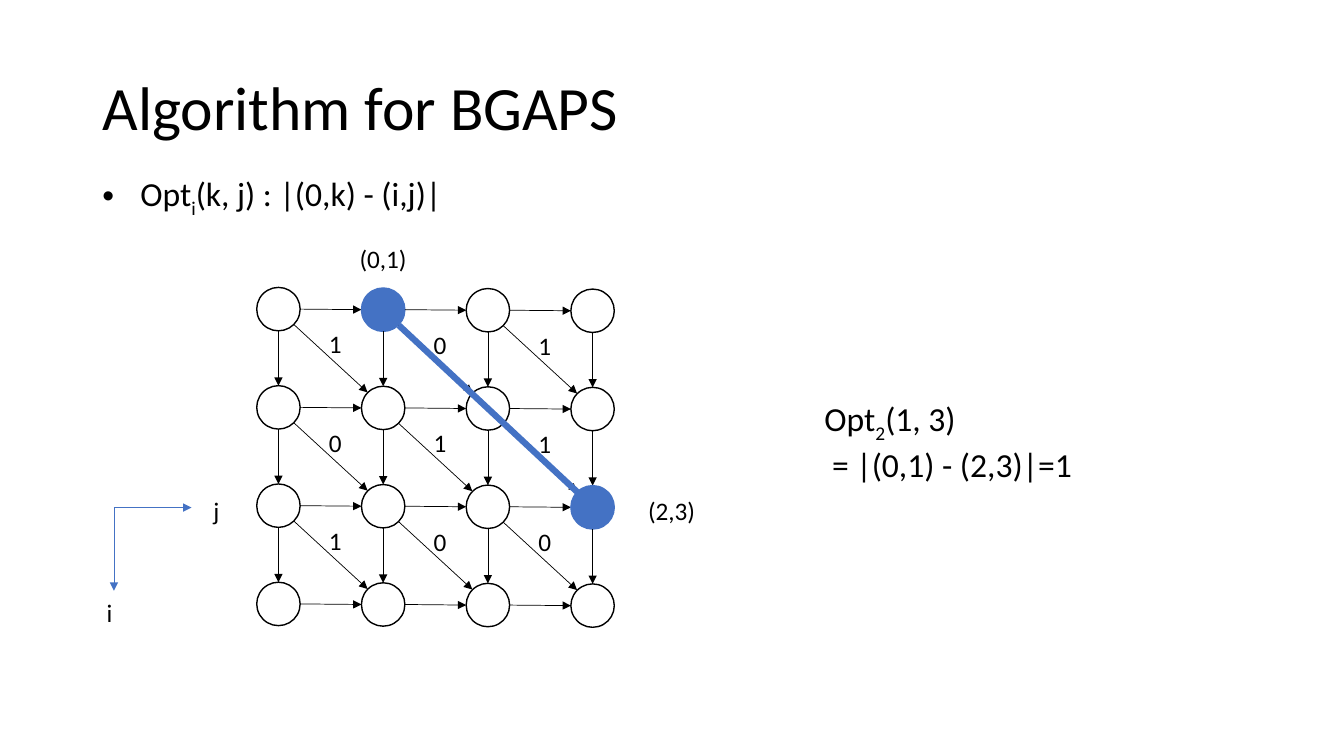
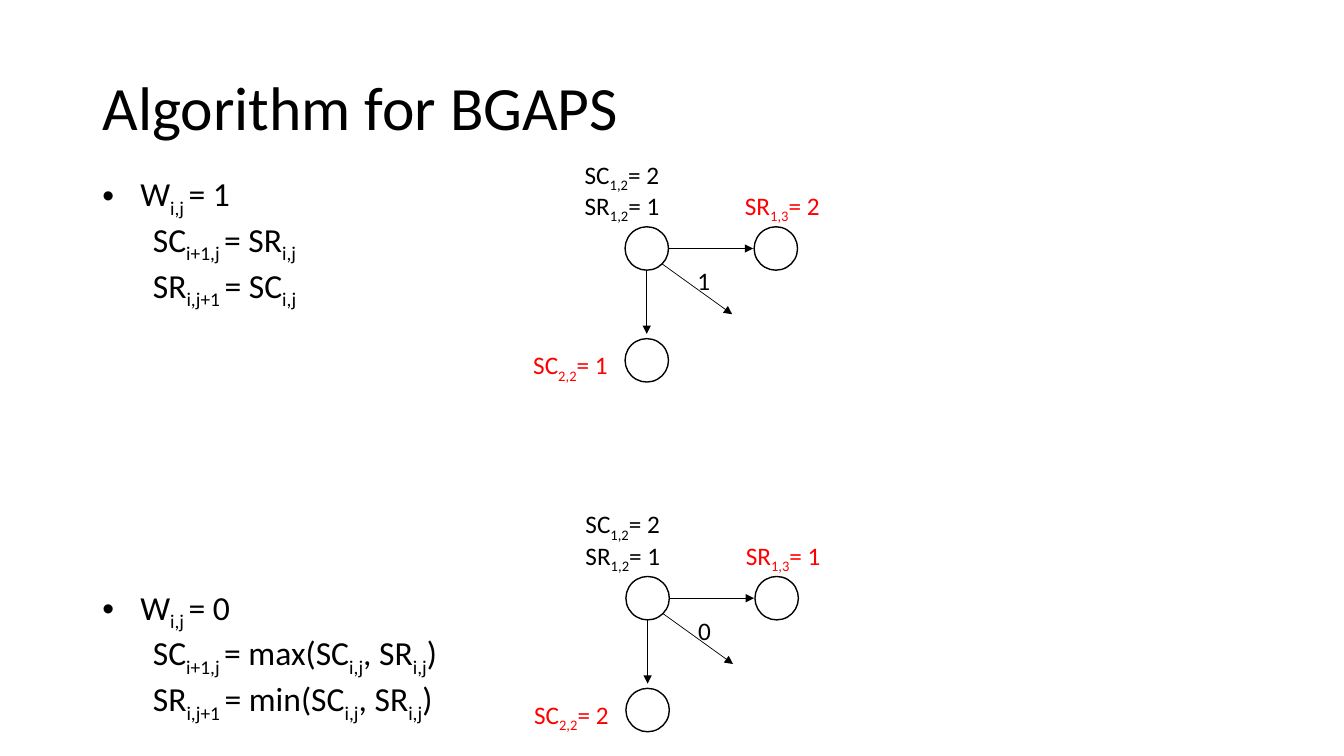
"""Builds two slides that explain the algorithm for BGAPS on a grid graph."""
from dataclasses import dataclass
from itertools import product
from typing import Optional

from lxml import etree
from pptx import Presentation
from pptx.dml.color import RGBColor
from pptx.enum.shapes import MSO_CONNECTOR, MSO_SHAPE
from pptx.enum.text import MSO_ANCHOR, MSO_AUTO_SIZE, PP_ALIGN
from pptx.oxml.ns import qn
from pptx.slide import Slide
from pptx.text.text import TextFrame
from pptx.util import Pt

OVAL = MSO_SHAPE.OVAL
STRAIGHT = MSO_CONNECTOR.STRAIGHT
LEFT = PP_ALIGN.LEFT
TOP, MIDDLE = MSO_ANCHOR.TOP, MSO_ANCHOR.MIDDLE
NO_FIT = MSO_AUTO_SIZE.NONE

BLACK, WHITE, BLUE, RED = "000000", "FFFFFF", "4472C4", "FF0000"
FONT = "Calibri"
TITLE = "Algorithm for BGAPS"
RADIUS = 15.5
DIAGONAL = 11.1

GRID_LEFT, GRID_TOP = 198.9, 220.8
COLUMN_STEP, ROW_STEP, ROW_SLOPE = 74.8, 70.2, 0.4
GRID_SIZE = 4
WEIGHTS = ("101", "011", "100")
PATH_START, PATH_END = (0, 1), (2, 3)


@dataclass(frozen=True)
class Point:
    """A place on the slide, in points."""
    x: float
    y: float

    def shift(self, dx: float, dy: float) -> "Point":
        """Return the place moved by the given distances."""
        return Point(self.x + dx, self.y + dy)


@dataclass(frozen=True)
class Label:
    """A short text and the top left corner of its box."""
    text: str
    at: Point
    width: float = 74
    colour: str = BLACK


@dataclass(frozen=True)
class Item:
    """One line of the body list."""
    text: str
    level: int = 0
    space_before: float = 0


@dataclass(frozen=True)
class Step:
    """One example of the update rule around a node."""
    node: Point
    weight: str
    right_value: str
    lower_value: str


STEPS = (
    Step(Point(462, 177.5), "1", "2", "1"),
    Step(Point(462.6, 427.3), "0", "1", "2"),
)


def rgb(colour: str) -> RGBColor:
    """Turn a hex string into a colour."""
    return RGBColor.from_string(colour)


def write(frame: TextFrame, text: str, *, size: float = 18, colour: str = BLACK,
          level: int = 0, margin: float = 0, indent: float = 0,
          bullet: Optional[str] = None, spacing: float = 1.0,
          space_before: float = 0) -> None:
    """Add a paragraph in which _{...} marks a subscript."""
    paragraph = frame.paragraphs[0]
    if paragraph.runs:
        paragraph = frame.add_paragraph()
    properties = paragraph._p.get_or_add_pPr()
    properties.set("marL", str(int(Pt(margin))))
    properties.set("indent", str(int(Pt(indent))))
    if bullet:
        etree.SubElement(properties, qn("a:buFont"), typeface="Arial")
        etree.SubElement(properties, qn("a:buChar"), char=bullet)
    else:
        etree.SubElement(properties, qn("a:buNone"))
    paragraph.level = level
    paragraph.alignment = LEFT
    paragraph.line_spacing = spacing
    paragraph.space_before = Pt(space_before)
    for index, part in enumerate(text.replace("}", "_{").split("_{")):
        if not part:
            continue
        run = paragraph.add_run()
        run.text = part
        run.font.name = FONT
        run.font.size = Pt(size)
        run.font.color.rgb = rgb(colour)
        if index % 2:
            run._r.get_or_add_rPr().set("baseline", "-25000")


def add_text_frame(slide: Slide, at: Point, width: float, height: float) -> TextFrame:
    """Add an empty wrapping text box."""
    box = slide.shapes.add_textbox(Pt(at.x), Pt(at.y), Pt(width), Pt(height))
    box.text_frame.word_wrap = True
    return box.text_frame


def add_label(slide: Slide, label: Label) -> None:
    """Add a one-line label."""
    frame = add_text_frame(slide, label.at, label.width, 29)
    write(frame, label.text, colour=label.colour)


def add_node(slide: Slide, centre: Point, fill: str = WHITE, line: str = BLACK) -> None:
    """Add a round graph node."""
    node = slide.shapes.add_shape(OVAL, Pt(centre.x - RADIUS), Pt(centre.y - RADIUS),
                                  Pt(2 * RADIUS), Pt(2 * RADIUS))
    node.shadow.inherit = False
    node.fill.solid()
    node.fill.fore_color.rgb = rgb(fill)
    node.line.color.rgb = rgb(line)
    node.line.width = Pt(1)


def add_edge(slide: Slide, start: Point, end: Point, *, colour: str = BLACK,
             width: float = 0.5, arrow: bool = True) -> None:
    """Add a straight edge, with an arrowhead unless told otherwise."""
    edge = slide.shapes.add_connector(STRAIGHT, Pt(start.x), Pt(start.y),
                                      Pt(end.x), Pt(end.y))
    edge.line.color.rgb = rgb(colour)
    edge.line.width = Pt(width)
    if arrow:
        etree.SubElement(edge.line._get_or_add_ln(), qn("a:tailEnd"), type="triangle")
    etree.SubElement(edge._element.spPr, qn("a:effectLst"))


def add_slide(deck: Presentation, body_height: float, items: tuple[Item, ...]) -> Slide:
    """Add a slide with the shared title and a body list."""
    slide = deck.slides.add_slide(deck.slide_layouts[1])
    title, body = slide.shapes.title, slide.placeholders[1]
    for holder, top, width, height, anchor in ((title, 48, 828, 62, MIDDLE),
                                               (body, 120, 856, body_height, TOP)):
        holder.left, holder.top = Pt(66), Pt(top)
        holder.width, holder.height = Pt(width), Pt(height)
        holder.text_frame.auto_size = NO_FIT
        holder.text_frame.vertical_anchor = anchor
    write(title.text_frame, TITLE, size=44, spacing=0.9)
    for item in items:
        bullet = None if item.level else "•"
        margin, indent = (36, 0) if item.level else (27, -27)
        write(body.text_frame, item.text, size=24, level=item.level, margin=margin,
              indent=indent, bullet=bullet, space_before=item.space_before)
    return slide


def grid_node(row: int, column: int) -> Point:
    """Return the centre of a grid node."""
    return Point(GRID_LEFT + COLUMN_STEP * column,
                 GRID_TOP + ROW_STEP * row + ROW_SLOPE * column)


def add_grid(slide: Slide) -> None:
    """Draw the weighted grid graph and the marked path."""
    last = GRID_SIZE - 1
    for row, column in product(range(GRID_SIZE), repeat=2):
        node = grid_node(row, column)
        if (row, column) in (PATH_START, PATH_END):
            add_node(slide, node, BLUE, BLUE)
        else:
            add_node(slide, node)
        if column < last:
            right = grid_node(row, column + 1)
            add_edge(slide, node.shift(RADIUS, 0), right.shift(-RADIUS, 0))
        if row < last:
            below = grid_node(row + 1, column)
            add_edge(slide, node.shift(0, RADIUS), below.shift(0, -RADIUS))
        if row < last and column < last:
            across = grid_node(row + 1, column + 1)
            add_edge(slide, node.shift(DIAGONAL, DIAGONAL),
                     across.shift(-DIAGONAL, -DIAGONAL))
            add_label(slide, Label(WEIGHTS[row][column], node.shift(29, 10.5), 31))
    add_edge(slide, grid_node(*PATH_START).shift(DIAGONAL, DIAGONAL),
             grid_node(*PATH_END).shift(-DIAGONAL, -DIAGONAL),
             colour=BLUE, width=4.5, arrow=False)


def add_grid_slide(deck: Presentation) -> None:
    """Add the slide that defines Opt on the grid."""
    slide = add_slide(deck, 36, (Item("Opt_{i}(k, j) : |(0,k) - (i,j)|"),))
    add_grid(slide)
    axes_origin = Point(81.4, 362.6)
    for axis_end in (axes_origin.shift(55.4, 0), axes_origin.shift(0, 59.4)):
        add_edge(slide, axes_origin, axis_end, colour=BLUE)
    for label in (Label("(0,1)", Point(249.8, 170.6), 100),
                  Label("(2,3)", Point(455.8, 350.6), 65),
                  Label("j", Point(145.4, 350), 24.5),
                  Label("i", Point(69.1, 423.4), 24.5)):
        add_label(slide, label)
    example = add_text_frame(slide, Point(581.8, 280.8), 248, 65.5)
    write(example, "Opt_{2}(1, 3)", size=24)
    write(example, "= |(0,1) - (2,3)|=1", size=24, margin=5.4)


def add_step(slide: Slide, step: Step) -> None:
    """Draw a node, its two successors and their values."""
    node = step.node
    for centre in (node, node.shift(92.2, 0), node.shift(0, 79.9)):
        add_node(slide, centre)
    add_edge(slide, node.shift(RADIUS, 0), node.shift(76, 0))
    add_edge(slide, node.shift(0, RADIUS), node.shift(0, 61))
    add_edge(slide, node.shift(DIAGONAL, DIAGONAL), node.shift(61, 47))
    for label in (
            Label("SC_{1,2}= 2", node.shift(-51.5, -67.5)),
            Label("SR_{1,2}= 1", node.shift(-51.5, -45)),
            Label(f"SR_{{1,3}}= {step.right_value}", node.shift(63, -45), colour=RED),
            Label(f"SC_{{2,2}}= {step.lower_value}", node.shift(-88.2, 68.8), colour=RED),
            Label(step.weight, node.shift(29, 8.3), 17.5)):
        add_label(slide, label)


def add_update_slide(deck: Presentation) -> None:
    """Add the slide with the update rule for both weights."""
    slide = add_slide(deck, 298, (
        Item("W_{i,j }= 1"),
        Item("SC_{i+1,j }= SR_{i,j}", 1),
        Item("SR_{i,j+1 }= SC_{i,j}", 1),
        Item("W_{i,j }= 0", space_before=197),
        Item("SC_{i+1,j }= max(SC_{i,j}, SR_{i,j})", 1),
        Item("SR_{i,j+1 }= min(SC_{i,j}, SR_{i,j})", 1),
    ))
    for step in STEPS:
        add_step(slide, step)


def main() -> None:
    """Build and save the deck."""
    deck = Presentation()
    deck.slide_width, deck.slide_height = Pt(960), Pt(540)
    add_grid_slide(deck)
    add_update_slide(deck)
    deck.save("out.pptx")


if __name__ == "__main__":
    main()
